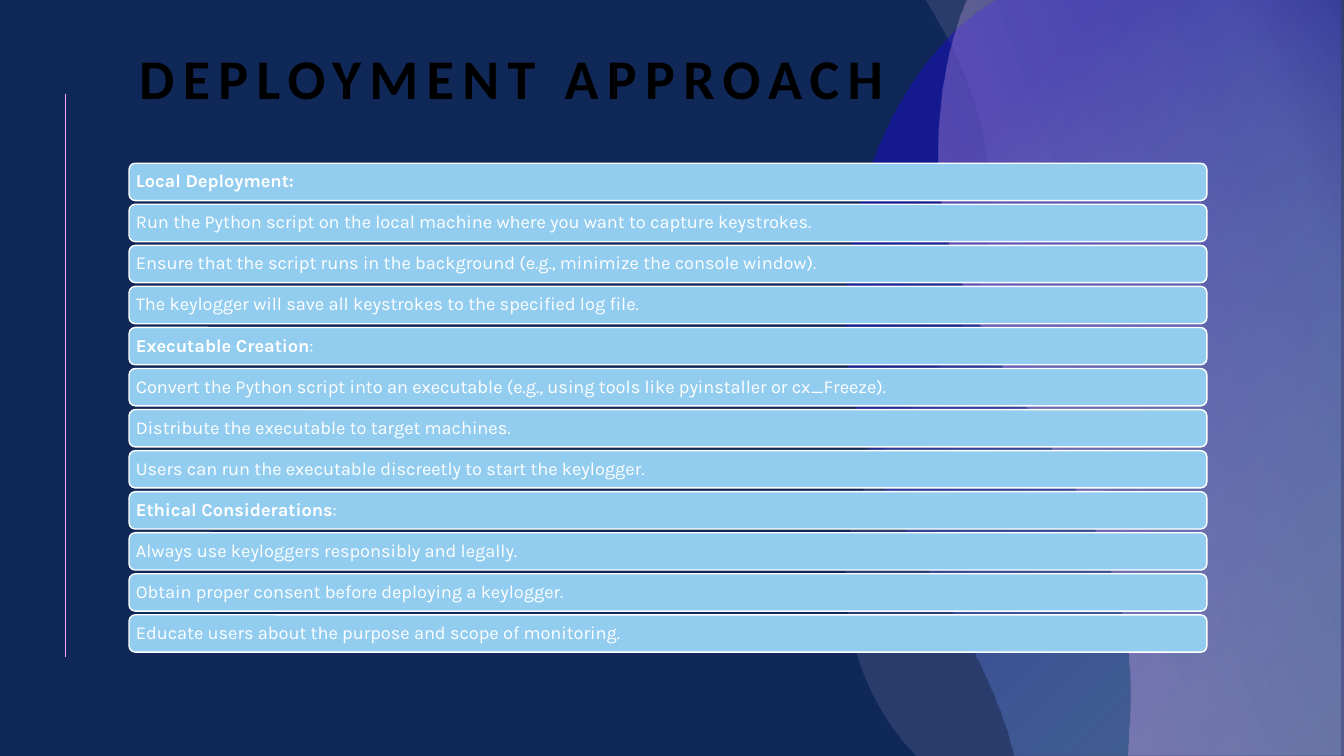
from lxml.etree import SubElement
from pptx import Presentation
from pptx.dml.color import RGBColor
from pptx.enum.shapes import MSO_CONNECTOR, MSO_SHAPE
from pptx.enum.text import MSO_ANCHOR, PP_ALIGN
from pptx.oxml import parse_xml
from pptx.oxml.ns import nsdecls, qn
from pptx.util import Inches, Pt

COLORS = {
    "navy": "102857",
    "sky": "92CDF0",
    "blue": "180DC2",
    "lilac": "C3B9F2",
    "pink": "F6A6F4",
    "white": "FFFFFF",
    "black": "000000",
}

OUTER_WAVE = [
    [(9.18, 0)], [(13.33, 0)], [(13.33, 7.5)], [(9.09, 7.5)], [(9.08, 7.49)],
    [(8.7, 7.1), (8.38, 6.48), (8.39, 5.68)],
    [(8.4, 4.27), (9.8, 3.66), (9.83, 2.15)],
    [(9.85, 1.21), (9.5, 0.52), (9.2, 0.03)],
]
MIDDLE_WAVE = [
    [(9.88, 0)], [(13.3, 0)], [(13.3, 7.5)], [(10.06, 7.5)], [(10.01, 7.31)],
    [(9.56, 5.83), (8.4, 4.92), (8.39, 3.22)],
    [(8.38, 1.65), (9.09, 0.55), (9.73, 0.1)],
]
INNER_WAVE = [
    [(9.59, 0)], [(13.33, 0)], [(13.33, 7.5)], [(11.18, 7.5)], [(11.2, 7.21)],
    [(11.21, 7.08), (11.21, 6.94), (11.21, 6.81)],
    [(11.17, 4.58), (9.32, 3.68), (9.31, 1.59)],
    [(9.3, 1.06), (9.38, 0.59), (9.52, 0.18)],
]
RADIAL_FROM_CORNER = (
    '<a:path path="circle"><a:fillToRect l="100000" t="100000"/></a:path>'
)
LINEAR_SWEEP = '<a:lin ang="15000000" scaled="0"/>'

SECTIONS = [
    ("Local Deployment:", "", [
        "Run the Python script on the local machine where you want to capture keystrokes.",
        "Ensure that the script runs in the background (e.g., minimize the console window).",
        "The keylogger will save all keystrokes to the specified log file.",
    ]),
    ("Executable Creation", ":", [
        "Convert the Python script into an executable (e.g., using tools like pyinstaller or cx_Freeze).",
        "Distribute the executable to target machines.",
        "Users can run the executable discreetly to start the keylogger.",
    ]),
    ("Ethical Considerations", ":", [
        "Always use keyloggers responsibly and legally.",
        "Obtain proper consent before deploying a keylogger.",
        "Educate users about the purpose and scope of monitoring.",
    ]),
]
LEFT, WIDTH = 1.28, 10.69
FIRST_BAR_TOP, LAST_BAR_TOP, BAR_HEIGHT = 1.62, 6.1, 0.37


def color(name):
    return RGBColor.from_string(COLORS[name])


def turned_back(outline, rotation):
    xs, ys = zip(*(segment[-1] for segment in outline))
    center_x, center_y = (min(xs) + max(xs)) / 2, (min(ys) + max(ys)) / 2
    sign = 1 if rotation == 90 else -1
    return [
        [(Inches(center_x + sign * (y - center_y)), Inches(center_y - sign * (x - center_x)))
         for x, y in segment]
        for segment in outline
    ]


class SlideBuilder:
    body_font = "Karla"
    title_font = "Calibri"

    def __init__(self, presentation):
        self.slide = presentation.slides.add_slide(presentation.slide_layouts[5])
        fill = self.slide.background.fill
        fill.solid()
        fill.fore_color.rgb = color("navy")

    def rule(self, x, top, bottom):
        line = self.slide.shapes.add_connector(
            MSO_CONNECTOR.STRAIGHT, Inches(x), Inches(top), Inches(x), Inches(bottom))
        line.line.color.rgb = color("pink")
        line.line.width = Pt(0.5)
        SubElement(line._element.spPr, qn("a:effectLst"))

    def wave(self, outline, rotation, stops, direction=""):
        segments = turned_back(outline, rotation)
        anchors = [segment[-1] for segment in segments]
        builder = self.slide.shapes.build_freeform(*anchors[0], scale=1.0)
        builder.add_line_segments(anchors[1:], close=True)
        shape = builder.convert_to_shape()
        properties = shape._element.spPr
        for line, segment in zip(list(properties.iter(qn("a:lnTo"))), segments[1:]):
            if len(segment) == 3:
                self.bend(line, segment, shape)
        shape.rotation = rotation
        shape.shadow.inherit = False
        shape.line.fill.background()
        shape.fill.solid()
        solid = properties.find(qn("a:solidFill"))
        properties.replace(solid, self.translucent_fill(stops, direction))

    def bend(self, line, segment, shape):
        points = "".join(
            f'<a:pt x="{x - shape.left}" y="{y - shape.top}"/>' for x, y in segment)
        curve = parse_xml(f'<a:cubicBezTo {nsdecls("a")}>{points}</a:cubicBezTo>')
        line.getparent().replace(line, curve)

    def translucent_fill(self, stops, direction):
        tints = [
            f'<a:srgbClr val="{COLORS[name]}"><a:alpha val="{opacity * 1000}"/></a:srgbClr>'
            for _, name, opacity in stops
        ]
        if len(tints) == 1:
            return parse_xml(f'<a:solidFill {nsdecls("a")}>{tints[0]}</a:solidFill>')
        listed = "".join(
            f'<a:gs pos="{stop[0] * 1000}">{tint}</a:gs>' for stop, tint in zip(stops, tints))
        return parse_xml(
            f'<a:gradFill {nsdecls("a")} rotWithShape="1">'
            f'<a:gsLst>{listed}</a:gsLst>{direction}</a:gradFill>')

    def title(self, text):
        shape = self.slide.shapes.title
        shape.left, shape.top = Inches(LEFT), Inches(0)
        shape.width, shape.height = Inches(WIDTH), Inches(1.16)
        frame = shape.text_frame
        frame.text = text
        frame.vertical_anchor = MSO_ANCHOR.BOTTOM
        paragraph = frame.paragraphs[0]
        self.style(paragraph, self.title_font, 40, "black")
        paragraph.font.bold = True
        paragraph.runs[0].font._element.set("spc", "600")
        self.slide.shapes._spTree.append(shape._element)

    def style(self, paragraph, font_name, size, color_name):
        paragraph.alignment = PP_ALIGN.LEFT
        paragraph.line_spacing = 0.9
        paragraph.font.name = font_name
        paragraph.font.size = Pt(size)
        paragraph.font.color.rgb = color(color_name)

    def bar(self, top, parts):
        shape = self.slide.shapes.add_shape(
            MSO_SHAPE.ROUNDED_RECTANGLE,
            Inches(LEFT), Inches(top), Inches(WIDTH), Inches(BAR_HEIGHT))
        shape.shadow.inherit = False
        shape.fill.solid()
        shape.fill.fore_color.rgb = color("sky")
        shape.line.color.rgb = color("white")
        shape.line.width = Pt(1)
        frame = shape.text_frame
        frame.word_wrap = True
        frame.vertical_anchor = MSO_ANCHOR.MIDDLE
        frame.margin_left = frame.margin_right = Inches(0.05)
        frame.margin_top = frame.margin_bottom = Inches(0.05)
        paragraph = frame.paragraphs[0]
        self.style(paragraph, self.body_font, 13, "white")
        for text, bold in parts:
            run = paragraph.add_run()
            run.text = text
            run.font.bold = bold


def main():
    presentation = Presentation()
    presentation.slide_width, presentation.slide_height = Inches(13.33), Inches(7.5)
    builder = SlideBuilder(presentation)
    builder.rule(0.65, 0.93, 6.52)
    builder.wave(OUTER_WAVE, 270, [(0, "lilac", 14)])
    builder.wave(MIDDLE_WAVE, 90, [(4, "sky", 24), (79, "blue", 52)], RADIAL_FROM_CORNER)
    builder.wave(INNER_WAVE, 90, [(1, "pink", 38), (84, "lilac", 20), (100, "pink", 3)],
                 LINEAR_SWEEP)
    builder.title("DEPLOYMENT APPROACH")

    bars = []
    for heading, suffix, items in SECTIONS:
        bars.append([(heading, True)] + ([(suffix, False)] if suffix else []))
        bars += [[(item, False)] for item in items]
    pitch = (LAST_BAR_TOP - FIRST_BAR_TOP) / (len(bars) - 1)
    for index, parts in enumerate(bars):
        builder.bar(FIRST_BAR_TOP + index * pitch, parts)
    presentation.save("out.pptx")


if __name__ == "__main__":
    main()
